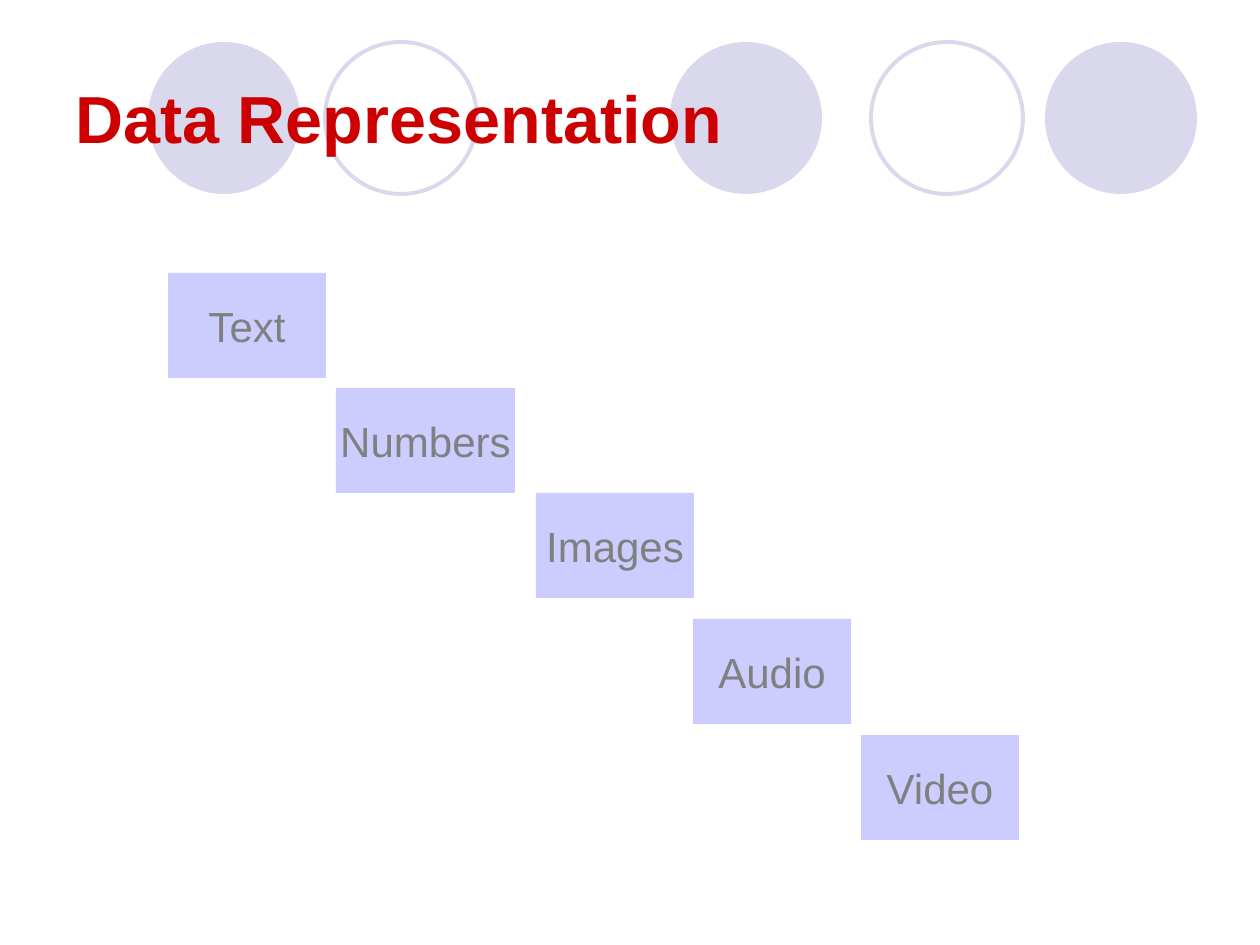
from pptx import Presentation
from pptx.dml.color import RGBColor
from pptx.enum.shapes import MSO_SHAPE as Shape
from pptx.enum.text import MSO_ANCHOR as Anchor, PP_ALIGN as Align
from pptx.util import Emu, Pt

SCALE = 914400 / 126
LILAC = "D9D8EC"
CIRCLE = 152

# left edge, filled
CIRCLES = [(670, True), (1045, True), (148, True), (871, False), (325, False)]
# label, left, top, width
STEPS = [
    ("Text", 168, 273, 158),
    ("Numbers", 336, 388, 179),
    ("Images", 536, 493, 158),
    ("Audio", 693, 619, 158),
    ("Video", 861, 735, 158),
]


def px(*vals):
    return [Emu(round(v * SCALE)) for v in vals]


def color(text):
    return RGBColor.from_string(text)


def write(frame, text, size, hue, bold=False, align=Align.LEFT):
    frame.vertical_anchor = Anchor.MIDDLE
    para = frame.paragraphs[0]
    para.alignment = align
    run = para.add_run()
    run.text = text
    font = run.font
    font.name, font.size, font.bold = "Arial", Pt(size), bold
    font.color.rgb = color(hue)


def add_flat(slide, kind, box, fill=None, line=None):
    """Add a shape without shadow, with an optional fill and outline."""
    shape = slide.shapes.add_shape(kind, *px(*box))
    shape.shadow.inherit = False
    if fill:
        shape.fill.solid()
        shape.fill.fore_color.rgb = color(fill)
    else:
        shape.fill.background()
    if line:
        shape.line.color.rgb = color(line)
        shape.line.width = Pt(2.25)
    else:
        shape.line.fill.background()
    return shape


def add_circle(slide, left, solid):
    box = (left, 42, CIRCLE, CIRCLE)
    paint = {"fill": LILAC} if solid else {"line": LILAC}
    add_flat(slide, Shape.OVAL, box, **paint)


def add_title(slide, text):
    frame = slide.shapes.add_textbox(*px(63, 38, 1134, 158)).text_frame
    frame.word_wrap = True
    write(frame, text, 38, "CC0000", bold=True)


def add_step(slide, label, left, top, width):
    shape = add_flat(slide, Shape.RECTANGLE, (left, top, width, 105), "CCCCFF")
    shape.text_frame.word_wrap = False
    write(shape.text_frame, label, 24, "808080", align=Align.CENTER)


def main():
    deck = Presentation()
    deck.slide_width, deck.slide_height = px(1260, 945)
    slide = deck.slides.add_slide(deck.slide_layouts[6])
    for circle in CIRCLES:
        add_circle(slide, *circle)
    add_title(slide, "Data Representation")
    for step in STEPS:
        add_step(slide, *step)
    deck.save("out.pptx")


if __name__ == "__main__":
    main()
